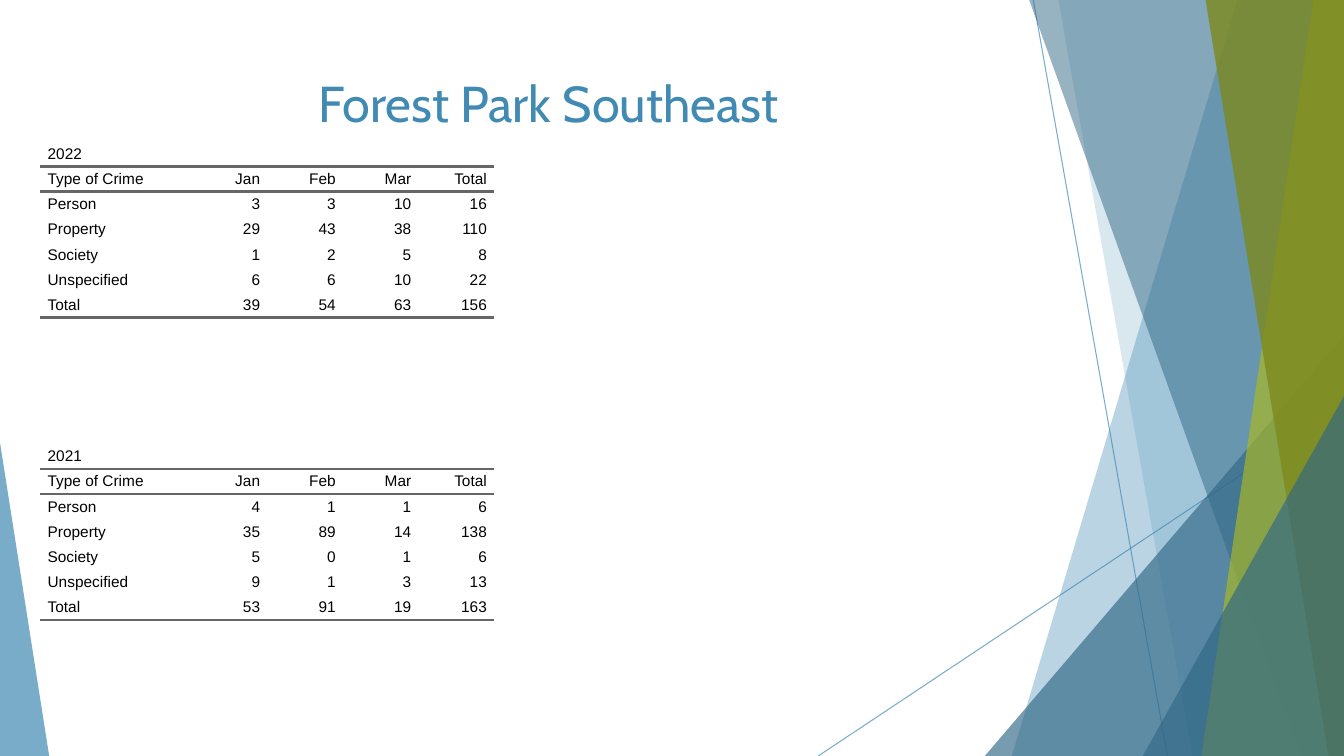
"""Build the Forest Park Southeast crime slide."""
from dataclasses import dataclass
from typing import Any

import lxml.etree
import pptx
import pptx.dml.color
import pptx.enum.shapes
import pptx.enum.text
import pptx.oxml.ns
import pptx.util

Cm = pptx.util.Cm
Pt = pptx.util.Pt
qn = pptx.oxml.ns.qn
WIDE, HIGH = 33.87, 19.05
BLUE, NAVY, LIME, MOSS = "418AB3", "316886", "A6B727", "7D891D"
BLACK, GREY = "000000", "666666"
PLAIN = "{2D5ABB26-0587-4C30-8999-92F81FD0307C}"


@dataclass
class Ray:
    """A thin line between two points."""
    x1: float
    y1: float
    x2: float
    y2: float


@dataclass
class Band:
    """A slanted band that runs to the right edge."""
    head: float
    foot: float
    tint: str
    alpha: int


@dataclass
class Wedge:
    """A right triangle that stands on the bottom edge."""
    left: float
    right: float
    top: float
    apex: float
    tint: str
    alpha: int


@dataclass
class Crime:
    """The crime counts of one year."""
    year: str
    top: float
    rows: dict[str, list[int]]


DECOR = [
    Ray(26.04, 0, 29.42, HIGH),
    Ray(WIDE, 10.24, 20.62, HIGH),
    Band(31.19, 25.5, BLUE, 36),
    Band(26.67, 30.05, BLUE, 20),
    Wedge(24.82, WIDE, 8.46, 1, NAVY, 66),
    Band(25.93, 32.79, NAVY, 50),
    Band(33.1, 30.28, LIME, 70),
    Band(30.38, 33.48, MOSS, 80),
    Wedge(28.8, WIDE, 9.98, 1, NAVY, 66),
    Wedge(0, 1.24, 11.15, 0, BLUE, 70),
]
HEADS = ["Type of Crime", "Jan", "Feb", "Mar", "Total"]
YEARS = [
    Crime("2022", 3.56, {
        "Person": [3, 3, 10, 16],
        "Property": [29, 43, 38, 110],
        "Society": [1, 2, 5, 8],
        "Unspecified": [6, 6, 10, 22],
        "Total": [39, 54, 63, 156],
    }),
    Crime("2021", 11.18, {
        "Person": [4, 1, 1, 6],
        "Property": [35, 89, 14, 138],
        "Society": [5, 0, 1, 6],
        "Unspecified": [9, 1, 3, 13],
        "Total": [53, 91, 19, 163],
    }),
]


def hue(code: str) -> pptx.dml.color.RGBColor:
    """Turn a hex string into a colour."""
    return pptx.dml.color.RGBColor.from_string(code)


def fade(shape: Any, alpha: int) -> None:
    """Set the opacity of the one colour of a shape, in percent."""
    tint = shape._element.spPr.find(".//" + qn("a:srgbClr"))
    lxml.etree.SubElement(tint, qn("a:alpha"), val=str(alpha * 1000))


def paint(shape: Any, tint: str, alpha: int) -> None:
    """Fill a shape with a clear colour and no outline."""
    shape.shadow.inherit = False
    shape.fill.solid()
    shape.fill.fore_color.rgb = hue(tint)
    shape.line.fill.background()
    fade(shape, alpha)


def draw_ray(shapes: Any, ray: Ray) -> None:
    """Draw a thin line."""
    line = shapes.add_connector(
        pptx.enum.shapes.MSO_CONNECTOR.STRAIGHT,
        Cm(ray.x1), Cm(ray.y1), Cm(ray.x2), Cm(ray.y2))
    line.line.color.rgb = hue(BLUE)
    line.line.width = Pt(0.75)
    fade(line, 70)
    lxml.etree.SubElement(line._element.spPr, qn("a:effectLst"))


def draw_band(shapes: Any, band: Band) -> None:
    """Draw a slanted band."""
    pen = shapes.build_freeform(Cm(band.head), Cm(-0.02))
    pen.add_line_segments([
        (Cm(WIDE), Cm(-0.02)), (Cm(WIDE), Cm(HIGH)), (Cm(band.foot), Cm(HIGH))])
    paint(pen.convert_to_shape(), band.tint, band.alpha)


def draw_wedge(shapes: Any, wedge: Wedge) -> None:
    """Draw a right triangle."""
    shape = shapes.add_shape(
        pptx.enum.shapes.MSO_SHAPE.ISOSCELES_TRIANGLE, Cm(wedge.left), Cm(wedge.top),
        Cm(wedge.right - wedge.left), Cm(HIGH - wedge.top))
    shape.adjustments[0] = wedge.apex
    paint(shape, wedge.tint, wedge.alpha)


def write(para: Any, text: str, face: str, size: float, tint: str) -> None:
    """Add one formatted run to a paragraph."""
    run = para.add_run()
    run.text = text
    run.font.name = face
    run.font.size = Pt(size)
    run.font.color.rgb = hue(tint)


def rule(cell: Any, sides: list[str]) -> None:
    """Draw grey borders on the given sides of a cell."""
    props = cell._tc.get_or_add_tcPr()
    for spot, side in enumerate(sides):
        edge = lxml.etree.Element(qn("a:" + side), w=str(Pt(2)))
        fill = lxml.etree.SubElement(edge, qn("a:solidFill"))
        lxml.etree.SubElement(fill, qn("a:srgbClr"), val=GREY)
        props.insert(spot, edge)


def draw_crime(shapes: Any, crime: Crime) -> None:
    """Draw the table of one year."""
    rows = [[crime.year], HEADS]
    rows += [[kind, *map(str, counts)] for kind, counts in crime.rows.items()]
    table = shapes.add_table(
        len(rows), len(HEADS), Cm(1.02), Cm(crime.top), Cm(11.43), Cm(4.45)).table
    table._tbl.tblPr.find(qn("a:tableStyleId")).text = PLAIN
    table.first_row = table.horz_banding = False
    for col, column in enumerate(table.columns):
        column.width = Cm(7.62) // 4 if col else Cm(3.81)
    table.cell(0, 0).merge(table.cell(0, len(HEADS) - 1))
    edges = {1: ["lnT", "lnB"], len(rows) - 1: ["lnB"]}
    align = pptx.enum.text.PP_ALIGN
    for row, texts in enumerate(rows):
        for col, text in enumerate(texts):
            cell = table.cell(row, col)
            cell.fill.background()
            cell.vertical_anchor = pptx.enum.text.MSO_ANCHOR.MIDDLE
            cell.margin_top = cell.margin_bottom = 0
            cell.margin_left = cell.margin_right = Cm(0.18)
            para = cell.text_frame.paragraphs[0]
            para.alignment = align.RIGHT if col else align.LEFT
            write(para, text, "Arial", 11, BLACK)
            rule(cell, edges.get(row, []))


def draw_title(title: Any, text: str) -> None:
    """Place and fill the title."""
    title.left, title.top = Cm(1.88), Cm(1.7)
    title.width, title.height = Cm(23.88), Cm(3.66)
    frame = title.text_frame
    frame.word_wrap = True
    frame.auto_size = pptx.enum.text.MSO_AUTO_SIZE.NONE
    frame.vertical_anchor = pptx.enum.text.MSO_ANCHOR.TOP
    frame.paragraphs[0].alignment = pptx.enum.text.PP_ALIGN.CENTER
    write(frame.paragraphs[0], text, "Cabin", 36, BLUE)


def main() -> None:
    """Build and save the deck."""
    deck = pptx.Presentation()
    deck.slide_width, deck.slide_height = Cm(WIDE), Cm(HIGH)
    slide = deck.slides.add_slide(deck.slide_layouts[5])
    tools = {Ray: draw_ray, Band: draw_band, Wedge: draw_wedge}
    for part in DECOR:
        tools[type(part)](slide.shapes, part)
    for crime in YEARS:
        draw_crime(slide.shapes, crime)
    draw_title(slide.shapes.title, "Forest Park Southeast")
    deck.save("out.pptx")


if __name__ == "__main__":
    main()
